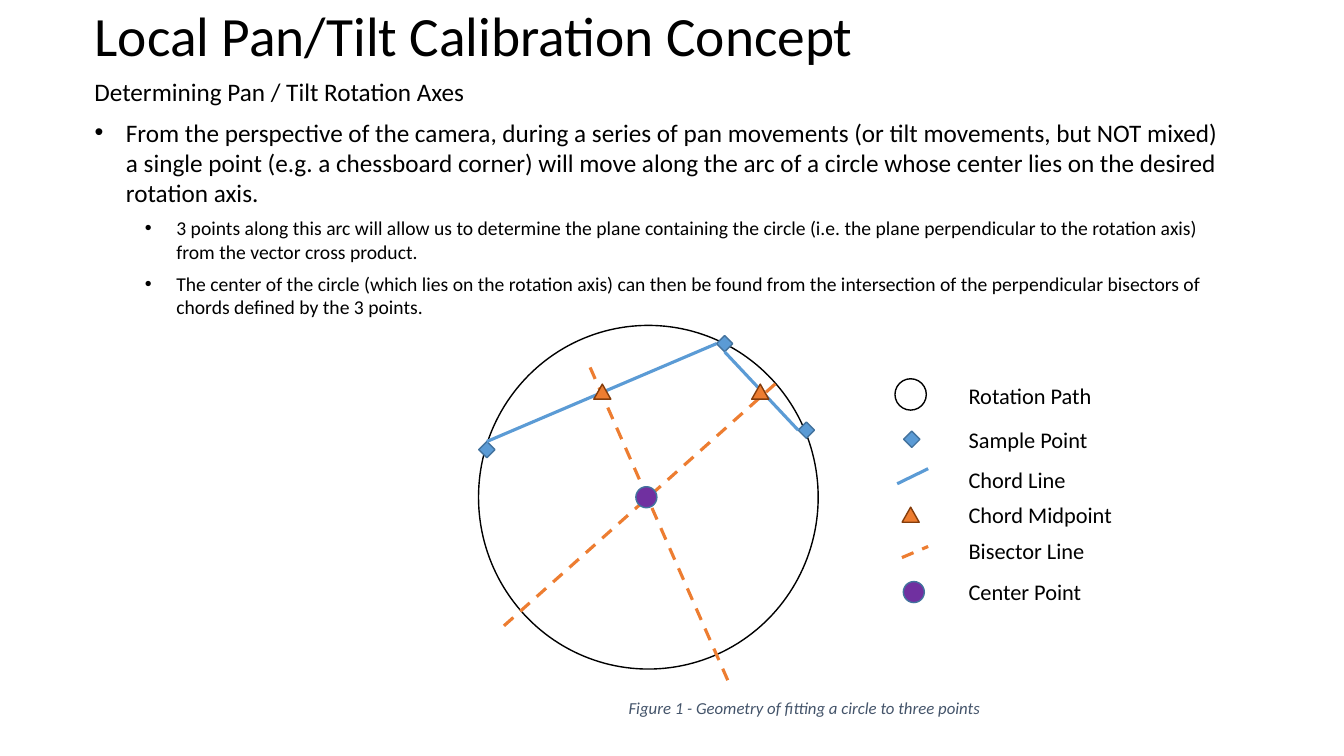
from lxml import etree
from pptx import Presentation
from pptx.dml.color import RGBColor
from pptx.enum.dml import MSO_LINE
from pptx.enum.shapes import MSO_CONNECTOR, MSO_SHAPE
from pptx.enum.text import MSO_ANCHOR, MSO_AUTO_SIZE, PP_ALIGN
from pptx.oxml.ns import qn
from pptx.util import Cm, Pt

OVAL, RHOMB = MSO_SHAPE.OVAL, MSO_SHAPE.DIAMOND
WEDGE, RECT = MSO_SHAPE.ISOSCELES_TRIANGLE, MSO_SHAPE.RECTANGLE
STRAIGHT, DASH = MSO_CONNECTOR.STRAIGHT, MSO_LINE.DASH
LEFT, CENTER = PP_ALIGN.LEFT, PP_ALIGN.CENTER
TOP, MIDDLE = MSO_ANCHOR.TOP, MSO_ANCHOR.MIDDLE
FIXED = MSO_AUTO_SIZE.NONE
NORTH, WEST, SOUTH = 0, 1, 2

COLORS = {
    "black": "000000", "white": "FFFFFF", "blue": "5B9BD5", "navy": "43739E",
    "orange": "ED7D31", "brown": "843C0B", "purple": "7030A0", "slate": "44546A",
}
# Kind of mark: preset, width, height, fill, outline
MARKS = {
    "path": (OVAL, 8.56, 8.66, "white", "black"),
    "ring": (OVAL, 0.79, 0.79, "white", "black"),
    "sample": (RHOMB, 0.41, 0.41, "blue", "navy"),
    "middle": (WEDGE, 0.43, 0.38, "orange", "brown"),
    "center": (OVAL, 0.53, 0.53, "purple", "navy"),
}


def tint(name):
    return RGBColor.from_string(COLORS[name])


def apply(target, values):
    for name, value in values.items():
        setattr(target, name, value)


class Board:
    """Holds the slide and its text style; all lengths are in centimetres."""

    def __init__(self, slide, font):
        self.slide = slide
        self.shapes = slide.shapes
        self.font = font

    def place(self, shape, left, top, width, height):
        apply(shape, {"left": Cm(left), "top": Cm(top),
                      "width": Cm(width), "height": Cm(height)})

    def letter(self, shape, lines, anchor=TOP, align=LEFT, color="black", **form):
        """Fill a shape with (text, size) lines and return its paragraphs."""
        frame = shape.text_frame
        frame.text = "\n".join(text for text, size in lines)
        apply(frame, {"auto_size": FIXED, "word_wrap": True,
                      "vertical_anchor": anchor})
        for par, (text, size) in zip(frame.paragraphs, lines):
            apply(par, {"alignment": align, "space_before": Pt(0)})
            for run in par.runs:
                apply(run.font, {"name": self.font, "size": Pt(size), **form})
                run.font.color.rgb = tint(color)
        return frame.paragraphs

    def title(self, text, size, *box):
        shape = self.shapes.title
        self.place(shape, *box)
        self.letter(shape, [(text, size)], MIDDLE)[0].line_spacing = 0.9

    def bullets(self, items, *box):
        """Fill the body with (text, size, level) items."""
        shape = self.slide.placeholders[1]
        self.place(shape, *box)
        pars = self.letter(shape, [(text, size) for text, size, level in items])
        for par, (text, size, level) in zip(pars, items):
            apply(par, {"level": level, "space_after": Pt(6)})
            props = par._p.get_or_add_pPr()
            props.set("marL", str(Cm(0.79 + 1.27 * level)))
            props.set("indent", str(Cm(-0.79)))
            etree.SubElement(props, qn("a:buFont")).set("typeface", "Arial")
            etree.SubElement(props, qn("a:buChar")).set("char", "•")

    def label(self, text, size, left, top, width, height):
        box = self.shapes.add_textbox(Cm(left), Cm(top), Cm(width), Cm(height))
        self.letter(box, [(text, size)])

    def shape(self, kind, fill, left, top, width, height, edge=None):
        item = self.shapes.add_shape(
            kind, Cm(left), Cm(top), Cm(width), Cm(height))
        item.shadow.inherit = False
        item.fill.solid()
        item.fill.fore_color.rgb = tint(fill)
        if edge:
            item.line.color.rgb = tint(edge)
            item.line.width = Pt(1)
        else:
            item.line.fill.background()
        return item

    def mark(self, name, x, y):
        """Draw a mark centred on a point."""
        kind, width, height, fill, edge = MARKS[name]
        return self.shape(kind, fill, x - width / 2, y - height / 2,
                          width, height, edge)

    def line(self, color, start=(0, 0), end=(0, 0), dash=None):
        item = self.shapes.add_connector(
            STRAIGHT, *(Cm(value) for value in (*start, *end)))
        item.line.color.rgb = tint(color)
        apply(item.line, {"width": Pt(2.25), "dash_style": dash})
        etree.SubElement(item._element.spPr, qn("a:effectLst"))
        return item

    def chord(self, first, side, second, other):
        item = self.line("blue")
        item.begin_connect(first, side)
        item.end_connect(second, other)

    def caption(self, text, size, *box):
        item = self.shape(RECT, "white", *box)
        apply(item.text_frame, dict.fromkeys(
            ("margin_left", "margin_top", "margin_right", "margin_bottom"), 0))
        self.letter(item, [(text, size)], TOP, CENTER, "slate", italic=True)


def main():
    deck = Presentation()
    apply(deck, {"slide_width": Cm(33.87), "slide_height": Cm(19.05)})
    board = Board(deck.slides.add_slide(deck.slide_layouts[1]), "Calibri")

    board.title("Local Pan/Tilt Calibration Concept", 39.6,
                2.13, 0.13, 29.21, 1.68)
    board.bullets([
        ("From the perspective of the camera, during a series of pan movements "
         "(or tilt movements, but NOT mixed)\va single point (e.g. a chessboard "
         "corner) will move along the arc of a circle whose center lies on the "
         "desired\vrotation axis.", 18, 0),
        ("3 points along this arc will allow us to determine the plane containing "
         "the circle (i.e. the plane perpendicular to the rotation axis)\v"
         "from the vector cross product.", 14, 1),
        ("The center of the circle (which lies on the rotation axis) can then be "
         "found from the intersection of the perpendicular bisectors of\v"
         "chords defined by the 3 points.", 14, 1),
    ], 2.13, 2.82, 29.16, 5.38)
    board.label("Determining Pan / Tilt Rotation Axes", 18, 2.13, 1.8, 9.93, 1.02)

    board.mark("path", 16.34, 12.53)
    west, north, east = [board.mark("sample", x, y) for x, y in
                         ((12.27, 11.33), (18.26, 8.66), (20.32, 10.84))]
    board.chord(east, WEST, north, SOUTH)
    board.line("orange", (18.34, 17.14), (14.81, 9.12), DASH)
    board.line("orange", (12.7, 15.77), (19.71, 9.52), DASH)
    board.mark("center", 16.29, 12.53)
    board.chord(north, WEST, west, NORTH)
    for x in (15.18, 19.16):
        board.mark("middle", x, 9.87)

    for name, x, y in (("ring", 22.95, 9.94), ("sample", 22.98, 11.07),
                       ("middle", 22.95, 12.97), ("center", 23.03, 14.92)):
        board.mark(name, x, y)
    board.line("blue", (23.39, 11.81), (22.61, 12.19))
    board.line("orange", (22.73, 14.05), (23.39, 13.77), DASH)
    for text, top in (("Rotation Path", 9.5), ("Sample Point", 10.62),
                      ("Chord Line", 11.61), ("Chord Midpoint", 12.5),
                      ("Bisector Line", 13.41), ("Center Point", 14.45)):
        board.label(text, 16, 24.16, top, 4.4, 0.94)

    board.caption("Figure 1 - Geometry of fitting a circle to three points", 12,
                  12.07, 17.58, 16.41, 0.51)
    deck.save("out.pptx")


if __name__ == "__main__":
    main()
